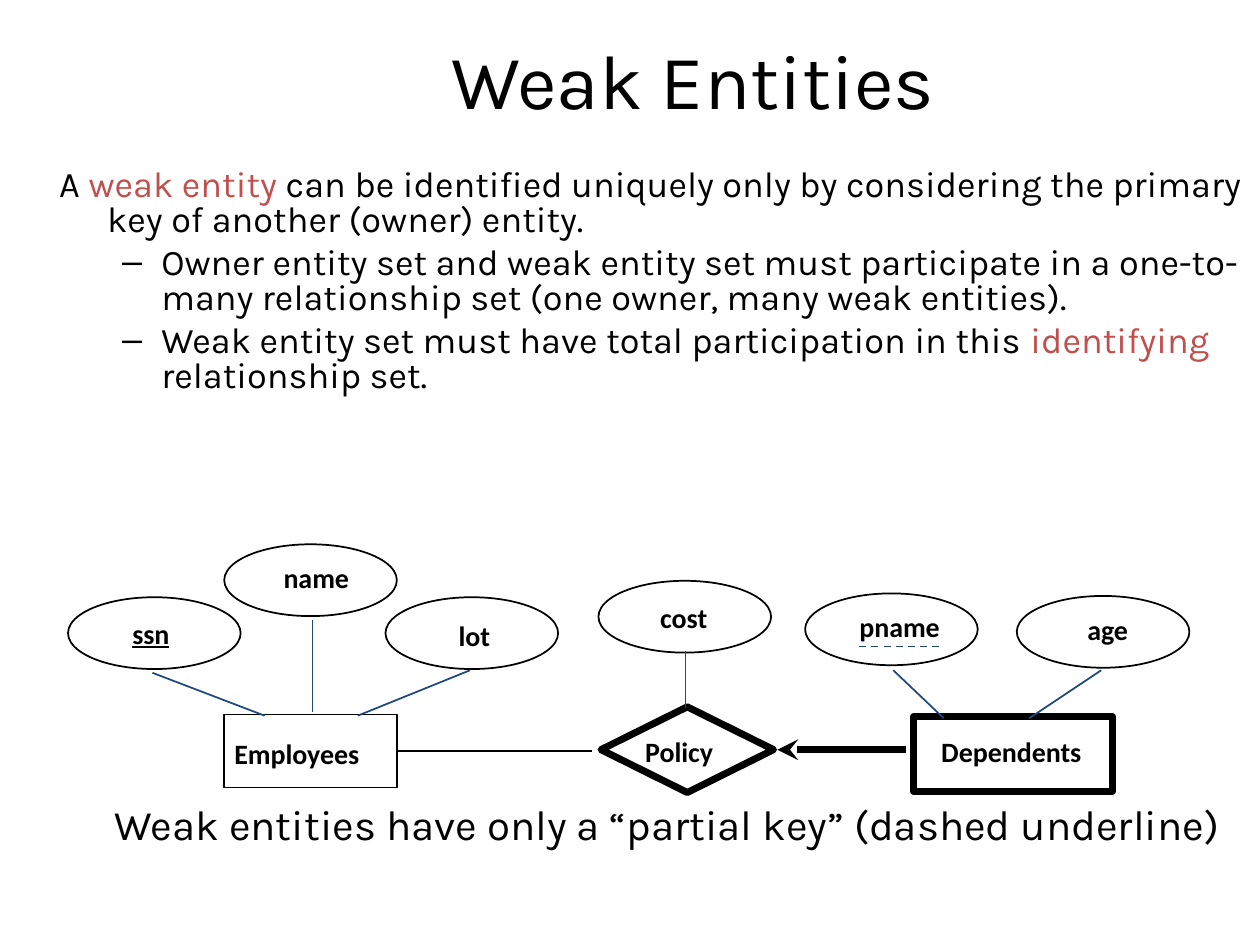
from dataclasses import dataclass

from lxml.etree import SubElement
from pptx import Presentation
from pptx.dml.color import RGBColor
from pptx.enum.dml import MSO_LINE
from pptx.enum.shapes import MSO_CONNECTOR, MSO_SHAPE
from pptx.enum.text import MSO_ANCHOR, MSO_AUTO_SIZE, PP_ALIGN
from pptx.oxml.ns import qn
from pptx.util import Pt

PX = 9144


@dataclass(frozen=True)
class Theme:
    ink: str = "000000"
    accent: str = "C0504D"
    link: str = "1F497D"
    text_font: str = "Karla"
    label_font: str = "Calibri"
    title: float = 44
    body: float = 20.6
    caption: float = 24
    label: float = 16
    thin: float = 1
    thick: float = 4
    inset: int = 5


class Deck:
    def __init__(self, theme):
        self.theme = theme
        self.prs = Presentation()
        self.prs.slide_width, self.prs.slide_height = 1000 * PX, 750 * PX
        self.s = None

    def add_slide(self):
        self.s = self.prs.slides.add_slide(self.prs.slide_layouts[5])

    def frame(self, sp, wrap, anchor=MSO_ANCHOR.TOP):
        tf = sp.text_frame
        tf.word_wrap = wrap
        tf.auto_size = MSO_AUTO_SIZE.NONE if wrap else MSO_AUTO_SIZE.SHAPE_TO_FIT_TEXT
        tf.vertical_anchor = anchor
        tf.margin_left = tf.margin_right = self.theme.inset * PX
        tf.margin_top = tf.margin_bottom = self.theme.inset * PX
        return tf

    def run(self, p, text, size, font=None, color=None, bold=False, underline=False):
        r = p.add_run()
        r.text = text
        r.font.name = font or self.theme.text_font
        r.font.size = Pt(size)
        r.font.bold = bold
        r.font.underline = underline
        r.font.color.rgb = RGBColor.from_string(color or self.theme.ink)

    def box(self, x, y, w, h, wrap):
        sp = self.s.shapes.add_textbox(x * PX, y * PX, w * PX, h * PX)
        return self.frame(sp, wrap)

    def title(self, text, x, y, w, h):
        sp = self.s.shapes.title
        sp.left, sp.top, sp.width, sp.height = x * PX, y * PX, w * PX, h * PX
        p = self.frame(sp, True, MSO_ANCHOR.MIDDLE).paragraphs[0]
        p.alignment = PP_ALIGN.CENTER
        self.run(p, text, self.theme.title)

    def body(self, x, y, w, h, paragraphs):
        tf = self.box(x, y, w, h, True)
        for i, (level, runs) in enumerate(paragraphs):
            p = tf.add_paragraph() if i else tf.paragraphs[0]
            p.level = level
            margin, indent = ((38, -38), (81, -31))[level]
            pPr = p._p.get_or_add_pPr()
            pPr.set("marL", str(margin * PX))
            pPr.set("indent", str(indent * PX))
            if level:
                SubElement(pPr, qn("a:buFont"), typeface="Arial")
                SubElement(pPr, qn("a:buChar"), char="–")
            p.line_spacing = 0.8
            p.space_before = Pt(5 if i else 0)
            for text, color in runs:
                self.run(p, text, self.theme.body, color=color)

    def caption(self, text, x, y, w, h):
        p = self.box(x, y, w, h, False).paragraphs[0]
        self.run(p, text, self.theme.caption)

    def label(self, text, x, y, w, underline=False):
        p = self.box(x, y, w, 39, False).paragraphs[0]
        self.run(p, text, self.theme.label, self.theme.label_font,
                 bold=True, underline=underline)

    def outline(self, kind, x, y, w, h, weight):
        sp = self.s.shapes.add_shape(kind, x * PX, y * PX, w * PX, h * PX)
        sp.shadow.inherit = False
        sp.fill.background()
        sp.line.color.rgb = RGBColor.from_string(self.theme.ink)
        sp.line.width = Pt(weight)
        return sp

    def line(self, x1, y1, x2, y2, color, weight, dash=None, arrow=False):
        c = self.s.shapes.add_connector(
            MSO_CONNECTOR.STRAIGHT, x1 * PX, y1 * PX, x2 * PX, y2 * PX)
        c.line.color.rgb = RGBColor.from_string(color)
        c.line.width = Pt(weight)
        if dash:
            c.line.dash_style = dash
        if arrow:
            SubElement(c.line._get_or_add_ln(), qn("a:headEnd"), type="stealth")
        SubElement(c._element.spPr, qn("a:effectLst"))
        return c


def main():
    t = Theme()
    deck = Deck(t)
    deck.add_slide()
    deck.title("Weak Entities", 125, 0, 850, 125)
    deck.body(42, 130, 958, 250, [
        (0, [("A ", t.ink), ("weak entity ", t.accent),
             ("can be identified uniquely only by considering the primary key "
              "of another (owner) entity.", t.ink)]),
        (1, [("Owner entity set and weak entity set must participate in a "
              "one-to-many relationship set (one owner, many weak entities).", t.ink)]),
        (1, [("Weak entity set must have total participation in this ", t.ink),
             ("identifying ", t.accent), ("relationship set.", t.ink)]),
    ])

    attributes = [
        ("ssn", 54, 474, 100, 484, 44),
        ("name", 178, 432, 220, 440, 65),
        ("lot", 306, 474, 359, 486, 38),
        ("cost", 475, 461, 519, 472, 56),
        ("pname", 639, 471, 677, 479, 78),
        ("age", 807, 473, 858, 481, 47),
    ]
    for name, x, y, label_x, label_y, label_w in attributes:
        deck.outline(MSO_SHAPE.OVAL, x, y, 137, 57, t.thin)
        deck.label(name, label_x, label_y, label_w, underline=name == "ssn")

    employees = deck.outline(MSO_SHAPE.RECTANGLE, 178, 567, 137, 58, t.thin)
    deck.label("Employees", 181, 580, 119)
    deck.outline(MSO_SHAPE.DIAMOND, 477, 561, 137, 68, t.thick)
    deck.label("Policy", 507, 578, 72)
    deck.outline(MSO_SHAPE.RECTANGLE, 725, 569, 158, 59, t.thick)
    deck.label("Dependents", 742, 578, 132)

    attribute_links = [
        (121, 534, 210, 568),
        (248, 492, 248, 565),
        (373, 532, 284, 568),
        (544, 517, 544, 562),
        (709, 532, 749, 570),
        (874, 532, 817, 570),
    ]
    for ends in attribute_links:
        deck.line(*ends, t.link, t.thin)
    deck.line(682, 513, 749, 513, t.link, t.thin, dash=MSO_LINE.DASH)
    deck.line(470, 596, 315, 596, t.ink, t.thin).end_connect(employees, 3)
    deck.line(617, 595, 719, 595, t.ink, t.thick, arrow=True)

    deck.caption("Weak entities have only a “partial key” (dashed underline)",
                 86, 629, 900, 54)
    deck.prs.save("out.pptx")


if __name__ == "__main__":
    main()
